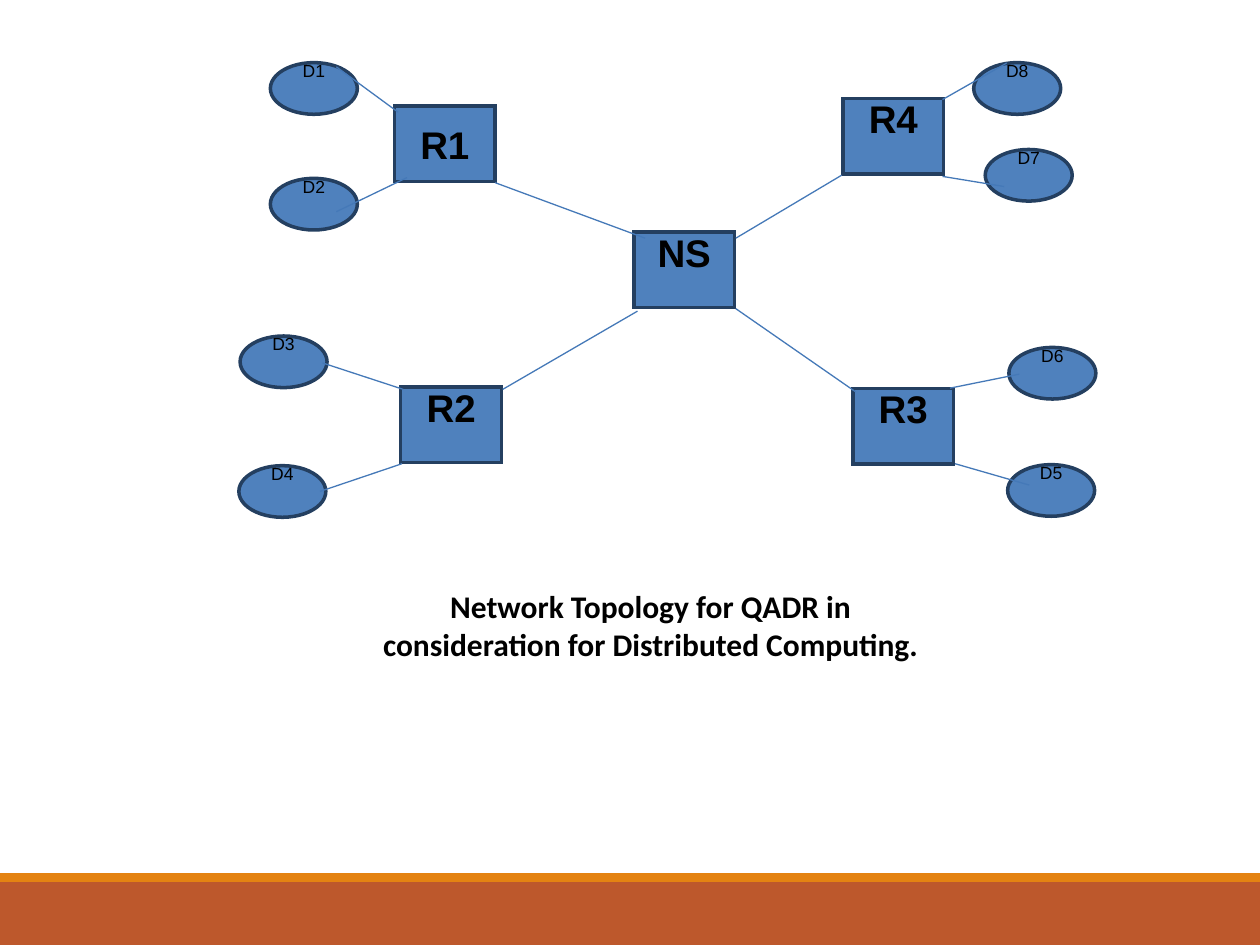
from dataclasses import dataclass

from lxml.etree import SubElement
from pptx import Presentation
from pptx.dml.color import RGBColor
from pptx.enum.shapes import MSO_CONNECTOR, MSO_SHAPE
from pptx.enum.text import MSO_ANCHOR, PP_ALIGN
from pptx.oxml.ns import qn
from pptx.util import Pt


@dataclass(frozen=True)
class Theme:
    """Colours, fonts and sizes of the slide."""
    node_fill: RGBColor = RGBColor(0x4F, 0x81, 0xBD)
    node_line: RGBColor = RGBColor(0x24, 0x3F, 0x60)
    link: RGBColor = RGBColor(0x45, 0x79, 0xB8)
    text: RGBColor = RGBColor(0, 0, 0)
    band: RGBColor = RGBColor(0xBD, 0x58, 0x2C)
    stripe: RGBColor = RGBColor(0xE4, 0x83, 0x12)
    node_font: str = "Arial"
    caption_font: str = "Calibri"
    router_size: float = 22
    device_size: float = 10
    caption_size: float = 18
    node_border: float = 2
    link_width: float = 0.75
    label_lift: float = 20.5


THEME = Theme()
ROUTER_BOX = (57.6, 43.2)
DEVICE_BOX = (49.7, 29.5)

ROUTERS = {
    "NS": (225.4, 96.5),
    "R1": (88.6, 24.7),
    "R2": (92.2, 185.2),
    "R4": (344.9, 20.2),
    "R3": (350.6, 186),
}
DEVICES = {
    "D8": (419.6, -0.2),
    "D7": (426.2, 49.4),
    "D6": (439.7, 162.5),
    "D5": (439, 229.5),
    "D3": (0.4, 156),
    "D4": (-0.3, 230.1),
    "D1": (17.7, -0.2),
    "D2": (17.7, 65.9),
}
LINKS = [
    (283.7, 100.1, 344.2, 64.1),
    (150.5, 186.5, 227.5, 141.8),
    (283.7, 140.4, 352.1, 187.9),
    (146.2, 68.4, 231.8, 100.1),
    (90.7, 28.1, 55.4, 2.2),
    (55.4, 85, 95.8, 65.5),
    (93.6, 186.5, 47.5, 171.4),
    (92.9, 229, 46.1, 244.8),
    (406.1, 185.8, 445.7, 177.8),
    (409, 229, 451.4, 241.2),
    (401.8, 20.9, 438.5, 0),
    (401.8, 64.8, 437, 70.6),
]


def add_block(slide, kind, box, fill):
    """Add a filled preset shape without line or shadow."""
    shape = slide.shapes.add_shape(kind, *map(Pt, box))
    shape.shadow.inherit = False
    shape.fill.solid()
    shape.fill.fore_color.rgb = fill
    shape.line.fill.background()
    return shape


def format_paragraph(paragraph, font_name, size, bold):
    """Centre a paragraph and set its font."""
    paragraph.alignment = PP_ALIGN.CENTER
    paragraph.font.name = font_name
    paragraph.font.size = Pt(size)
    paragraph.font.bold = bold
    paragraph.font.color.rgb = THEME.text


def add_node(slide, kind, label, box, size, bold, lifted=True):
    """Add a node whose label is centred or lifted to its upper half."""
    shape = add_block(slide, kind, box, THEME.node_fill)
    shape.line.color.rgb = THEME.node_line
    shape.line.width = Pt(THEME.node_border)
    SubElement(shape.line._get_or_add_ln(), qn("a:miter"), lim="800000")
    frame = shape.text_frame
    frame.word_wrap = True
    frame.vertical_anchor = MSO_ANCHOR.MIDDLE
    if lifted:
        frame.margin_top = 0
        frame.margin_bottom = Pt(THEME.label_lift)
    paragraph = frame.paragraphs[0]
    paragraph.text = label
    format_paragraph(paragraph, THEME.node_font, size, bold)


def add_link(slide, start, end):
    """Add a thin straight link between two points."""
    connector = slide.shapes.add_connector(
        MSO_CONNECTOR.STRAIGHT, *map(Pt, (*start, *end)))
    connector.line.color.rgb = THEME.link
    connector.line.width = Pt(THEME.link_width)
    SubElement(connector._element.spPr, qn("a:effectLst"))


def draw_topology(slide, left, top):
    """Draw the routers, devices and links from the given corner."""
    for label, (x, y) in ROUTERS.items():
        add_node(slide, MSO_SHAPE.RECTANGLE, label, (left + x, top + y, *ROUTER_BOX),
                 THEME.router_size, True, label != "R1")
    for label, (x, y) in DEVICES.items():
        add_node(slide, MSO_SHAPE.OVAL, label, (left + x, top + y, *DEVICE_BOX),
                 THEME.device_size, False)
    for x1, y1, x2, y2 in LINKS:
        add_link(slide, (left + x1, top + y1), (left + x2, top + y2))


def draw_caption(slide, left, top, width, height):
    """Write the centred caption in the given box."""
    caption = slide.shapes.add_textbox(*map(Pt, (left, top, width, height)))
    caption.text_frame.word_wrap = True
    paragraph = caption.text_frame.paragraphs[0]
    paragraph.text = ("Network Topology for QADR in consideration "
                      "for Distributed Computing.")
    format_paragraph(paragraph, THEME.caption_font, THEME.caption_size, True)


def draw_footer(slide, left, top, width, height):
    """Draw the footer band with a thin stripe along its top."""
    stripe = 5
    add_block(slide, MSO_SHAPE.RECTANGLE,
              (left, top + stripe, width, height - stripe), THEME.band)
    add_block(slide, MSO_SHAPE.RECTANGLE, (left, top, width, stripe), THEME.stripe)


def main():
    """Build the slide and save it."""
    presentation = Presentation()
    presentation.slide_width, presentation.slide_height = Pt(720), Pt(540)
    slide = presentation.slides.add_slide(presentation.slide_layouts[6])
    draw_footer(slide, 0, 499, 720, 41)
    draw_topology(slide, 136.8, 36)
    draw_caption(slide, 199.4, 331.9, 344.9, 72.7)
    presentation.save("out.pptx")


if __name__ == "__main__":
    main()
